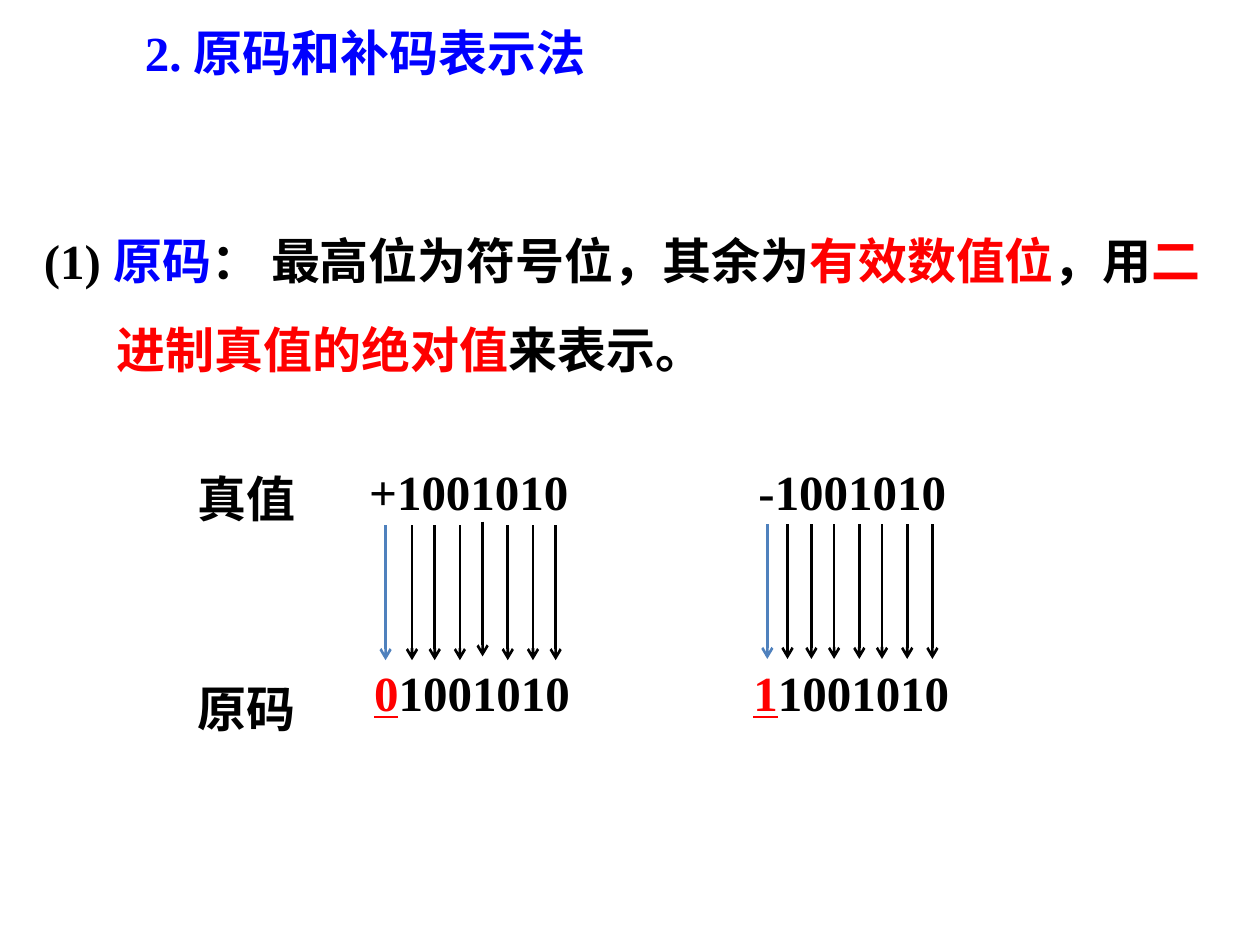
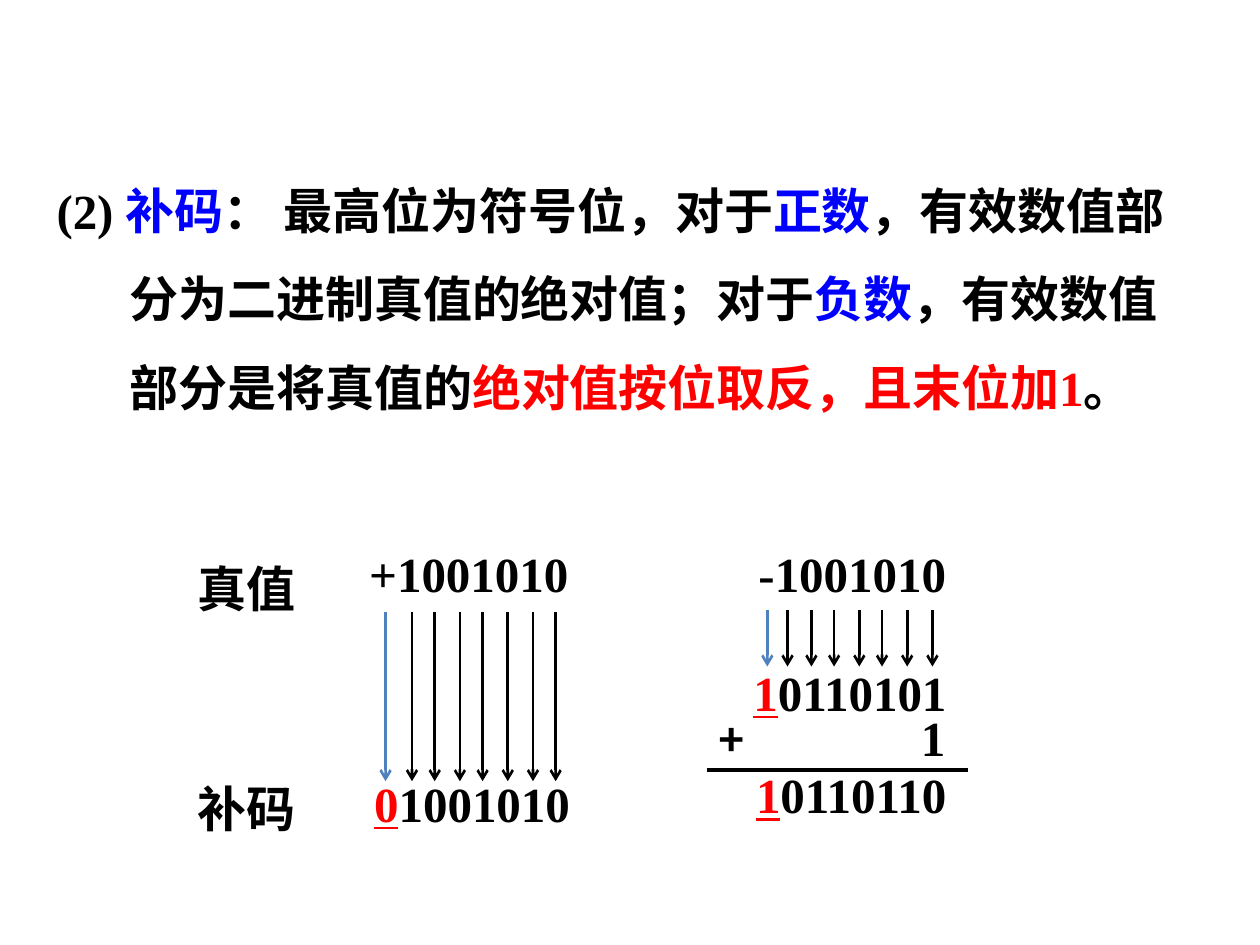
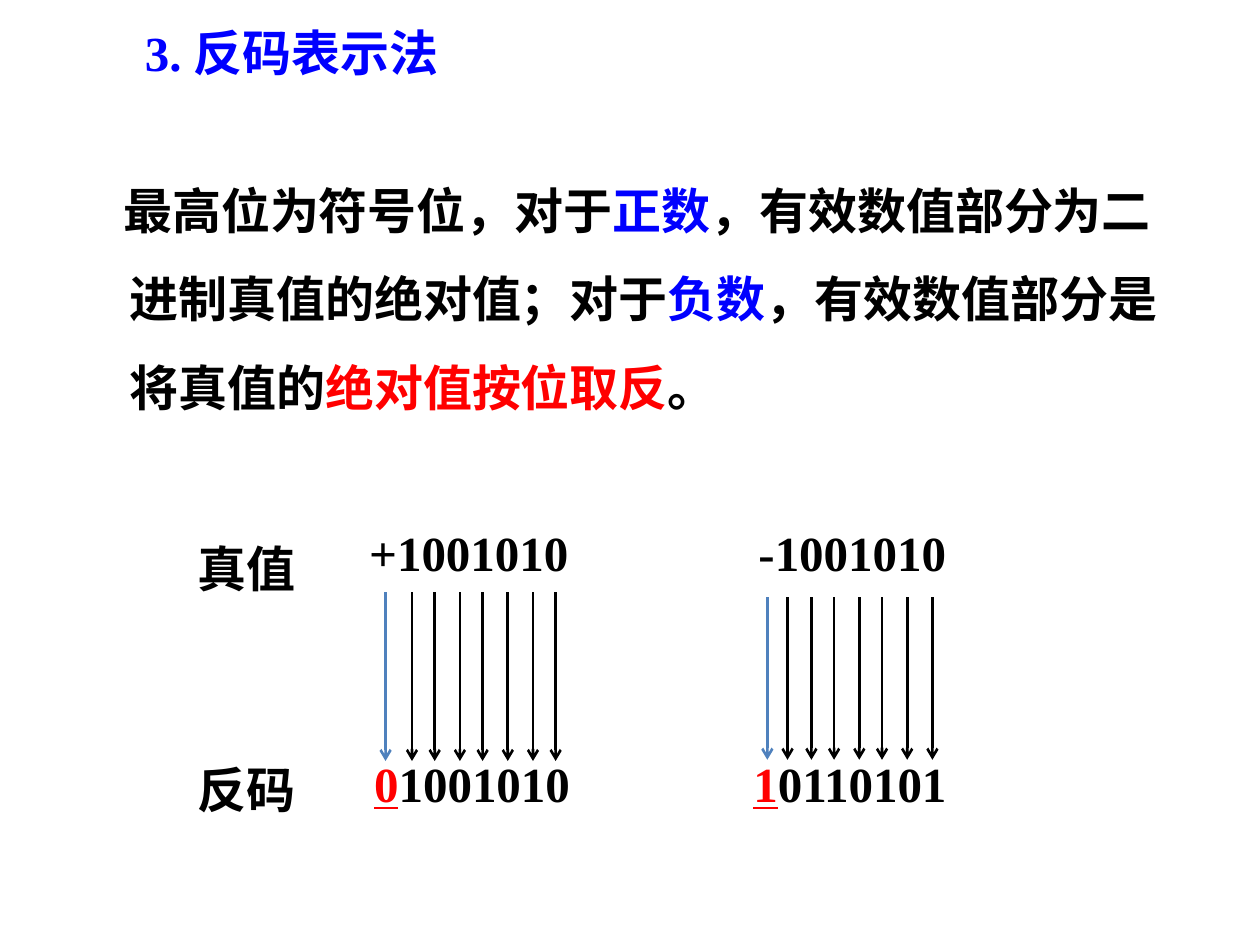
from dataclasses import dataclass
from typing import NamedTuple

from lxml.etree import SubElement
from pptx import Presentation
from pptx.dml.color import RGBColor
from pptx.enum.shapes import MSO_CONNECTOR
from pptx.enum.text import MSO_ANCHOR, MSO_AUTO_SIZE, PP_ALIGN
from pptx.oxml.ns import qn
from pptx.util import Inches, Pt

# Shared style
COLORS = {"black": "000000", "blue": "0000FF", "red": "FF0000", "sign": "4F81BD"}
LATIN, CJK = "Times New Roman", "Noto Sans CJK SC"
TITLE_ONLY, BLANK = 5, 6
BODY_INSETS = (0.1, 0.05)
VALUE_INSETS = (0.06, 0.01)
HANGING = 0.58

# Arrow columns: the sign bit first, then seven value bits
POSITIVE_BITS = (3.06, 3.27, 3.45, 3.65, 3.83, 4.03, 4.23, 4.41)
NEGATIVE_BITS = (6.09, 6.25, 6.44, 6.62, 6.82, 7.0, 7.2, 7.4)


class Box(NamedTuple):
    left: float
    top: float
    width: float
    height: float


class Span(NamedTuple):
    text: str
    color: str = "black"
    underline: bool = False


class Reach(NamedTuple):
    start: float
    end: float


@dataclass(frozen=True)
class Encoding:
    """One slide: a definition and a worked example of one number code."""
    title: str
    definition: tuple[Span, ...]
    definition_box: Box
    first_indent: float
    code_name: str
    negative_code: str
    true_top: float
    true_name_top: float
    code_name_top: float
    positive_code_top: float
    negative_code_top: float
    positive_reach: Reach
    negative_reach: Reach
    fifth_lift: float = 0.0


TITLE_BOX = Box(1.05, 0.13, 4.01, 0.72)

ENCODINGS = (
    Encoding(
        title="2. 原码和补码表示法",
        definition=(
            Span("(1) "), Span("原码", "blue"), Span("： 最高位为符号位，其余为"),
            Span("有效数值位", "red"), Span("，用"),
            Span("二进制真值的绝对值", "red"), Span("来表示。"),
        ),
        definition_box=Box(0.25, 1.55, 9.47, 1.42), first_indent=-HANGING,
        code_name="原码", negative_code="11001010",
        true_top=3.65, true_name_top=3.59, code_name_top=5.26,
        positive_code_top=5.25, negative_code_top=5.25,
        positive_reach=Reach(4.17, 5.24), negative_reach=Reach(4.16, 5.23),
        fifth_lift=0.03,
    ),
    Encoding(
        title="",
        definition=(
            Span("(2) "), Span("补码", "blue"), Span("： 最高位为符号位，对于"),
            Span("正数", "blue"), Span("，有效数值部分为二进制真值的绝对值；对于"),
            Span("负数", "blue"), Span("，有效数值部分是将真值的"),
            Span("绝对值按位取反，且末位加1", "red"), Span("。"),
        ),
        definition_box=Box(0.35, 1.15, 9.08, 2.05), first_indent=-HANGING,
        code_name="补码", negative_code="10110101",
        true_top=4.3, true_name_top=4.31, code_name_top=6.05,
        positive_code_top=6.13, negative_code_top=5.25,
        positive_reach=Reach(4.86, 6.2), negative_reach=Reach(4.84, 5.29),
    ),
    Encoding(
        title="3. 反码表示法",
        definition=(
            Span("最高位为符号位，对于"), Span("正数", "blue"),
            Span("，有效数值部分为二进制真值的绝对值；对于"), Span("负数", "blue"),
            Span("，有效数值部分是将真值的"), Span("绝对值按位取反", "red"), Span("。"),
        ),
        definition_box=Box(0.35, 1.15, 9.08, 2.05), first_indent=-0.05,
        code_name="反码", negative_code="10110101",
        true_top=4.14, true_name_top=4.15, code_name_top=5.9,
        positive_code_top=5.97, negative_code_top=5.97,
        positive_reach=Reach(4.7, 6.04), negative_reach=Reach(4.74, 6.03),
    ),
)


def rgb(name: str) -> RGBColor:
    return RGBColor.from_string(COLORS[name])


def style_paragraph(paragraph, color: str = "black", font: str = LATIN) -> None:
    paragraph.font.size = Pt(28)
    paragraph.font.bold = True
    paragraph.font.name = font
    paragraph.font.color.rgb = rgb(color)
    defaults = paragraph._p.pPr.find(qn("a:defRPr"))
    SubElement(defaults, qn("a:ea")).set("typeface", CJK)


def add_text(slide, box: Box, spans: tuple[Span, ...], font: str = LATIN,
             insets: tuple[float, float] = VALUE_INSETS,
             line_spacing: float = 1.0, wrap: bool = True):
    """Add a one-paragraph text box and return its paragraph."""
    frame = slide.shapes.add_textbox(*map(Inches, box)).text_frame
    frame.word_wrap = wrap
    frame.margin_left = frame.margin_right = Inches(insets[0])
    frame.margin_top = frame.margin_bottom = Inches(insets[1])
    paragraph = frame.paragraphs[0]
    paragraph.line_spacing = line_spacing
    style_paragraph(paragraph, font=font)
    for span in spans:
        run = paragraph.add_run()
        run.text = span.text
        if span.color != "black":
            run.font.color.rgb = rgb(span.color)
        if span.underline:
            run.font.underline = True
    return paragraph


def add_title(slide, text: str) -> None:
    title = slide.shapes.title
    title.left, title.top, title.width, title.height = map(Inches, TITLE_BOX)
    frame = title.text_frame
    frame.auto_size = MSO_AUTO_SIZE.NONE
    frame.vertical_anchor = MSO_ANCHOR.TOP
    frame.text = text
    paragraph = frame.paragraphs[0]
    paragraph.alignment = PP_ALIGN.LEFT
    style_paragraph(paragraph, "blue")


def add_definition(slide, encoding: Encoding) -> None:
    paragraph = add_text(slide, encoding.definition_box, encoding.definition,
                         insets=BODY_INSETS, line_spacing=1.5)
    properties = paragraph._p.get_or_add_pPr()
    properties.set("marL", str(Inches(HANGING)))
    properties.set("indent", str(Inches(encoding.first_indent)))


def add_line(slide, start: tuple[float, float], end: tuple[float, float],
             color: str = "black", width: float = 1.5, arrow: bool = False) -> None:
    line = slide.shapes.add_connector(
        MSO_CONNECTOR.STRAIGHT, *map(Inches, (*start, *end)))
    line.line.color.rgb = rgb(color)
    line.line.width = Pt(width)
    if arrow:
        SubElement(line.line._get_or_add_ln(), qn("a:tailEnd")).set("type", "arrow")
    SubElement(line._element.spPr, qn("a:effectLst"))


def add_bit_arrows(slide, columns: tuple[float, ...], reach: Reach,
                   fifth_lift: float = 0.0) -> None:
    for index, x in enumerate(columns):
        lift = fifth_lift if index == 4 else 0.0
        add_line(slide, (x, reach.start - lift), (x, reach.end - lift),
                 "sign" if index == 0 else "black", arrow=True)


def add_row_name(slide, top: float, name: str, font: str) -> None:
    add_text(slide, Box(1.51, top, 1.1, 0.61), (Span(name),), font, line_spacing=1.25)


def add_code(slide, left: float, top: float, bits: str) -> None:
    """Write a code word with its sign bit marked."""
    add_text(slide, Box(left, top, 2.28, 0.61),
             (Span(bits[0], "red", True), Span(bits[1:])))


def add_example(slide, encoding: Encoding) -> None:
    # True values
    add_row_name(slide, encoding.true_name_top, "真值", "Arial")
    for left, value in ((2.87, "+1001010"), (5.96, "-1001010")):
        add_text(slide, Box(left, encoding.true_top, 2.28, 0.61), (Span(value),))
    # Code words
    add_row_name(slide, encoding.code_name_top, encoding.code_name, CJK)
    add_code(slide, 2.91, encoding.positive_code_top, "01001010")
    add_code(slide, 5.92, encoding.negative_code_top, encoding.negative_code)
    # Bit by bit mapping
    add_bit_arrows(slide, POSITIVE_BITS, encoding.positive_reach, encoding.fifth_lift)
    add_bit_arrows(slide, NEGATIVE_BITS, encoding.negative_reach)


def add_plus_one(slide) -> None:
    """Complete the two's complement by adding one to the inverted bits."""
    for left, top, sign, font in ((5.61, 5.56, "+", "Calibri"), (7.21, 5.57, "1", LATIN)):
        add_text(slide, Box(left, top, 0.4, 0.57), (Span(sign),), font,
                 BODY_INSETS, wrap=False)
    add_line(slide, (5.61, 6.11), (7.68, 6.11), width=2)
    add_code(slide, 5.94, 6.06, "10110110")


def main() -> None:
    deck = Presentation()
    deck.slide_width, deck.slide_height = Inches(10), Inches(7.5)
    for encoding in ENCODINGS:
        layout = TITLE_ONLY if encoding.title else BLANK
        slide = deck.slides.add_slide(deck.slide_layouts[layout])
        if encoding.title:
            add_title(slide, encoding.title)
        add_definition(slide, encoding)
        add_example(slide, encoding)
        if encoding.code_name == "补码":
            add_plus_one(slide)
    deck.save("out.pptx")


if __name__ == "__main__":
    main()
